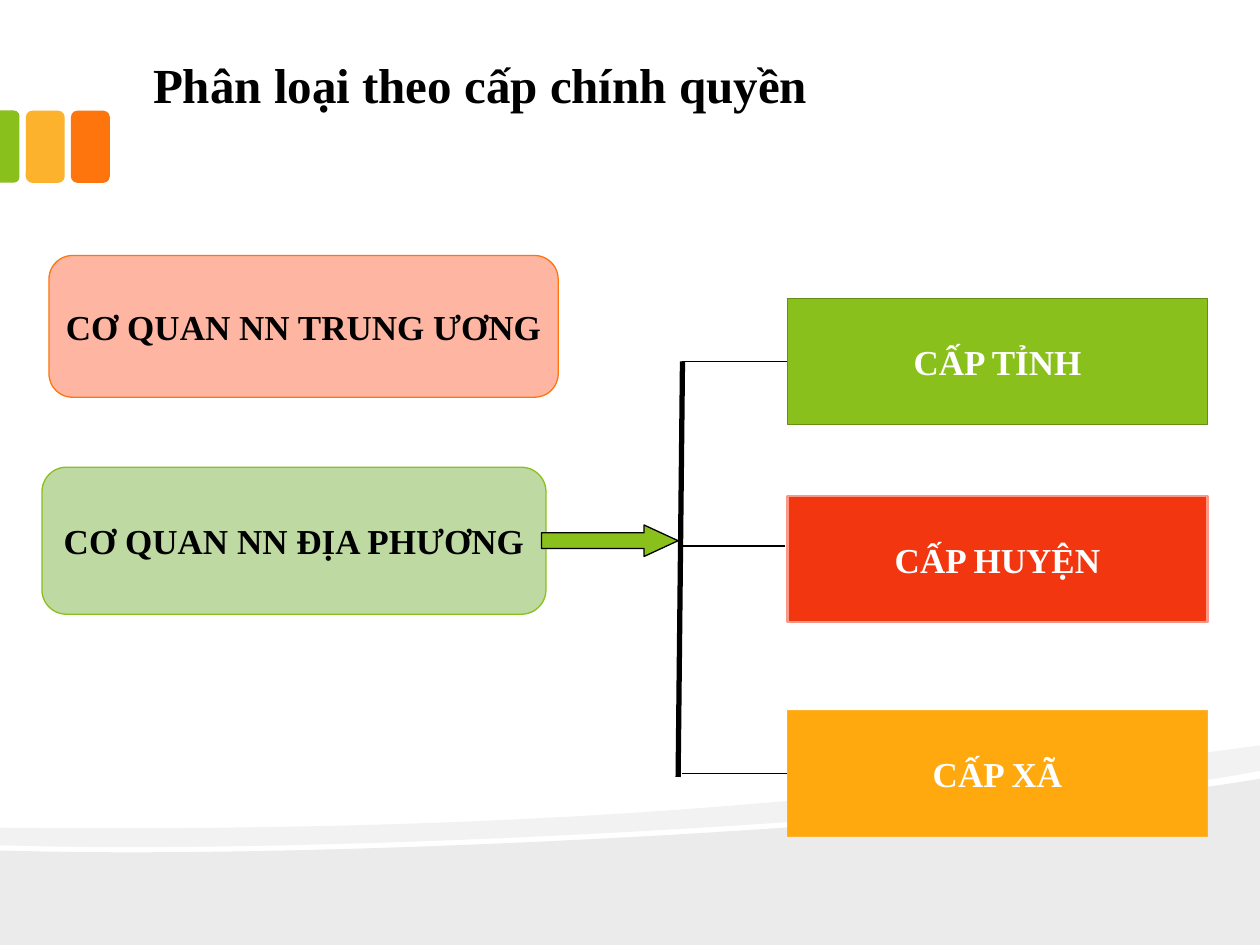
from lxml.etree import SubElement
from pptx import Presentation
from pptx.dml.color import RGBColor
from pptx.enum.shapes import MSO_CONNECTOR as Conn, MSO_SHAPE as Kind
from pptx.enum.text import MSO_ANCHOR as Anchor, PP_ALIGN as Align
from pptx.oxml.ns import qn
from pptx.util import Pt

BLACK = RGBColor(0, 0, 0)
WHITE = RGBColor(255, 255, 255)
GREEN = RGBColor(0x89, 0xC0, 0x1C)
MOSS = RGBColor(0x65, 0x8E, 0x15)
SAGE = RGBColor(0xBE, 0xD9, 0xA2)
ORANGE = RGBColor(0xFE, 0x75, 0x0E)
AMBER = RGBColor(0xFC, 0xB2, 0x2C)
GOLD = RGBColor(0xFF, 0xA9, 0x0E)
PEACH = RGBColor(0xFE, 0xB6, 0xA2)
RED = RGBColor(0xF2, 0x36, 0x10)
PINK = RGBColor(0xFA, 0x98, 0x85)
DARK = RGBColor(0xEB, 0xEB, 0xEB)
LIGHT = RGBColor(0xF2, 0xF2, 0xF2)
FONT = "Times New Roman"

TITLE = "Phân loại theo cấp chính quyền"
WAVES = [
    (DARK, [[(720, 445)], [(720, 540)], [(0, 540)], [(0, 486)],
            [(190, 492), (563, 471.5), (720, 445)]]),
    (LIGHT, [[(720, 426)], [(720, 440.5)],
             [(678, 448.5), (621, 455.5), (556, 461.5)],
             [(376.5, 477.5), (139, 487.5), (0, 483)], [(0, 473)],
             [(352, 476.5), (524, 451.5), (720, 426)]]),
]
TABS = [
    (Kind.ROUNDED_RECTANGLE, (40.5, 63.25, 22.25, 41.25), 0, ORANGE),
    (Kind.ROUNDED_RECTANGLE, (14.75, 63.25, 22.25, 41.25), 0, AMBER),
    (Kind.ROUND_2_SAME_RECTANGLE, (-15, 78.25, 41.25, 11), 90, GREEN),
]
BODIES = [
    ("CƠ QUAN NN TRUNG ƯƠNG", Kind.FLOWCHART_ALTERNATE_PROCESS,
     (28, 146, 291, 81), PEACH, ORANGE),
    ("CƠ QUAN NN ĐỊA PHƯƠNG", Kind.ROUNDED_RECTANGLE,
     (24, 267, 288, 84), SAGE, GREEN),
]
LEVELS = [
    ("CẤP TỈNH", 170.5, GREEN, MOSS, 0.85),
    ("CẤP HUYỆN", 283.5, RED, PINK, 1.35),
    ("CẤP XÃ", 406, GOLD, AMBER, 0.75),
]

deck = Presentation()
deck.slide_width, deck.slide_height = Pt(720), Pt(540)
slide = deck.slides.add_slide(deck.slide_layouts[6])
shapes = slide.shapes


def paint(shape, fill, line=None, width=0.75):
    shape.shadow.inherit = False
    shape.fill.solid()
    shape.fill.fore_color.rgb = fill
    if line is None:
        shape.line.fill.background()
    else:
        shape.line.color.rgb = line
        shape.line.width = Pt(width)


def block(kind, box, fill, line=None, width=0.75):
    shape = shapes.add_shape(kind, *map(Pt, box))
    paint(shape, fill, line, width)
    return shape


def write(shape, text, size, color):
    para = shape.text_frame.paragraphs[0]
    para.text = text
    font = para.font
    font.name, font.size, font.bold = FONT, Pt(size), True
    font.color.rgb = color
    return para


def label(shape, text, color):
    frame = shape.text_frame
    frame.word_wrap = False
    frame.vertical_anchor = Anchor.MIDDLE
    write(shape, text, 20, color).alignment = Align.CENTER


def trace(steps, count=24):
    spots = [steps[0][0]]
    for step in steps[1:]:
        if len(step) == 1:
            spots += step
            continue
        hull = [spots[-1], *step]
        for i in range(1, count + 1):
            t = i / count
            parts = ((1 - t) ** 3, 3 * t * (1 - t) ** 2,
                     3 * t * t * (1 - t), t ** 3)
            spots.append(tuple(sum(w * p[axis] for w, p in zip(parts, hull))
                               for axis in (0, 1)))
    return [(Pt(x), Pt(y)) for x, y in spots]


def rule(x1, y1, x2, y2, width=0.75):
    line = shapes.add_connector(Conn.STRAIGHT, *map(Pt, (x1, y1, x2, y2)))
    line.line.color.rgb = BLACK
    line.line.width = Pt(width)
    SubElement(line._element.spPr, qn("a:effectLst"))
    return line


for fill, steps in WAVES:
    spots = trace(steps)
    pen = shapes.build_freeform(*spots[0])
    pen.add_line_segments(spots[1:], close=True)
    paint(pen.convert_to_shape(), fill)

for kind, box, turn, fill in TABS:
    tab = block(kind, box, fill)
    tab.rotation = turn
    if turn:
        tab.adjustments[0] = 0.29

title = shapes.add_textbox(*map(Pt, (78, 32.5, 614, 106.5)))
frame = title.text_frame
frame.word_wrap = True
frame.margin_left = frame.margin_right = Pt(9.5)
frame.margin_top = frame.margin_bottom = Pt(5)
write(title, TITLE, 28, BLACK).line_spacing = 0.8

for text, kind, box, fill, line in BODIES:
    label(block(kind, box, fill, line), text, BLACK)

arrow = block(Kind.RIGHT_ARROW, (309.5, 300, 78, 18), GREEN, BLACK)
arrow.adjustments[1] = 1.08

rule(390, 206.5, 387.5, 444, 3)
top = rule(390, 206.5, 450, 206.5)
rule(389, 312, 448.5, 312)
low = rule(390, 442, 450, 442)

cells = []
for text, y, fill, line, width in LEVELS:
    cell = block(Kind.RECTANGLE, (450, y, 240, 72), fill, line, width)
    label(cell, text, WHITE)
    cells.append(cell)
top.end_connect(cells[0], 1)
low.end_connect(cells[2], 1)

deck.save("out.pptx")
